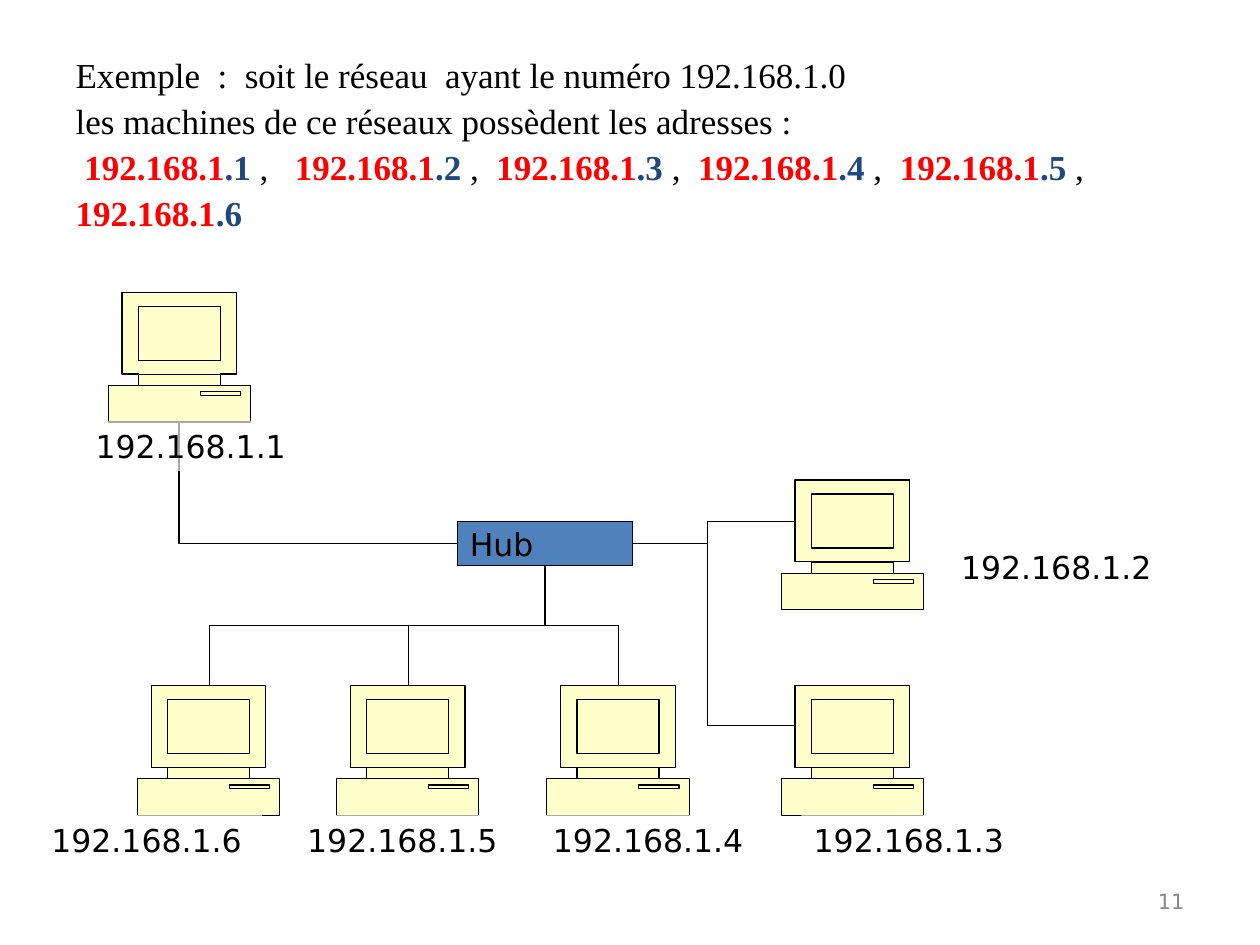
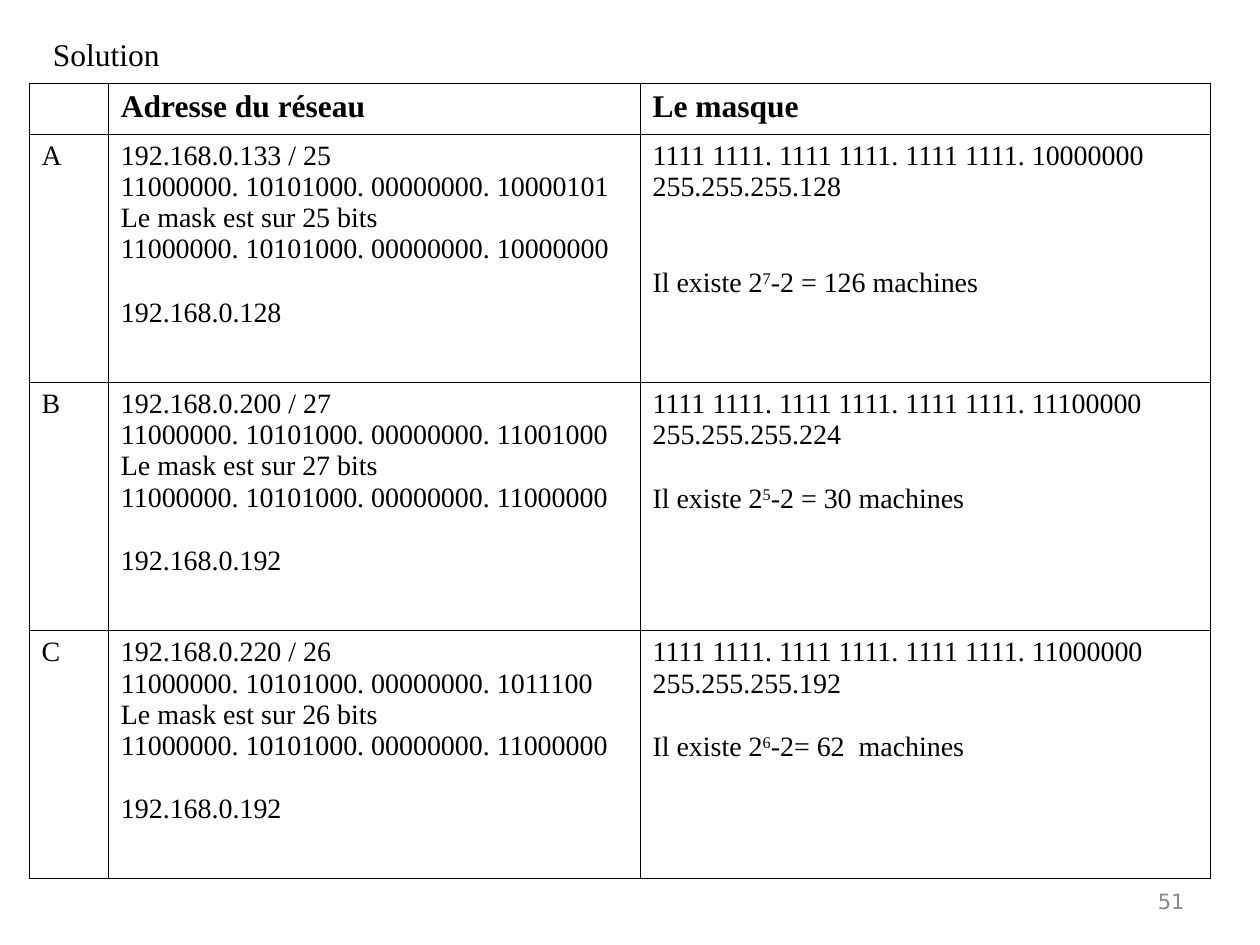
from lxml.etree import SubElement
from pptx import Presentation
from pptx.dml.color import RGBColor as Rgb
from pptx.enum.shapes import MSO_CONNECTOR as Link, MSO_SHAPE as Kind
from pptx.enum.text import MSO_ANCHOR as Anchor, MSO_AUTO_SIZE as Fit, PP_ALIGN as Align
from pptx.oxml.ns import qn
from pptx.util import Inches, Pt

INK = {"black": "000000", "white": "FFFFFF", "red": "FF0000", "navy": "1F497D",
       "cream": "FFFFCC", "blue": "4F81BD", "grey": "898989"}
SERIF, SANS = "Times New Roman", "DejaVu Sans"
WIDE, HIGH = Inches(10), Inches(7.5)
UNIT = WIDE // 10
NET = "192.168.1"
BLANK = 18.6

SHELL = [(11, 0), (102, 0), (102, 65), (89, 65), (89, 74), (113, 74),
         (113, 103), (0, 103), (0, 74), (24, 74), (24, 65), (11, 65)]
PARTS = [(24, 65, 89, 74), (24, 11, 89, 54), (73, 79, 105, 82)]

HOSTS = [(0.86, 2.32), (6.2, 3.81), (6.2, 5.44), (4.34, 5.44), (2.67, 5.44), (1.09, 5.44)]
LABELS = [(0.66, 3.34, 1.91), (7.53, 4.3, 1.77), (6.36, 6.47, 1.77),
          (4.29, 6.47, 1.88), (2.34, 6.47, 1.77), (0.31, 6.47, 1.77)]
HUB = (3.63, 4.14, 1.39, 0.35)

COLS = [0.63, 4.22, 4.53]
ROWS = [0.4, 1.97, 1.97, 1.97]
HEADS = ["", "Adresse du réseau", "Le masque"]
CASES = [
    ("A", "192.168.0.133 / 25", "10000101", "25", "10000000", "192.168.0.128",
     "10000000", "255.255.255.128", "7", "-2 = 126 machines", 2),
    ("B", "192.168.0.200 / 27", "11001000", "27", "11000000", "192.168.0.192",
     "11100000", "255.255.255.224", "5", "-2 = 30 machines", 1),
    ("C", "192.168.0.220 / 26", "1011100", "26", "11000000", "192.168.0.192",
     "11000000", "255.255.255.192", "6", "-2= 62  machines", 1),
]


def grid(*cells):
    """Turn grid positions into lengths."""
    return [round(cell * UNIT) for cell in cells]


def tint(name):
    """Return a named colour."""
    return Rgb.from_string(INK[name])


def write(para, text, size, face=SERIF, ink="black", bold=False):
    """Add one formatted run to a paragraph."""
    run = para.add_run()
    run.text = text
    font = run.font
    font.size, font.name, font.bold = Pt(size), face, bold
    font.color.rgb = tint(ink)
    return run


def paint(shape, fill, edge="black"):
    """Set fill and outline and drop the shadow."""
    shape.shadow.inherit = False
    shape.fill.solid()
    shape.fill.fore_color.rgb = tint(fill)
    if edge:
        shape.line.color.rgb = tint(edge)
        shape.line.width = Pt(0.75)
    else:
        shape.line.fill.background()


def start(deck, box, anchor):
    """Add a title-only slide and return it with its title paragraph."""
    slide = deck.slides.add_slide(deck.slide_layouts[5])
    title = slide.shapes.title
    title.left, title.top, title.width, title.height = grid(*box)
    frame = title.text_frame
    frame.word_wrap, frame.auto_size = True, Fit.NONE
    frame.vertical_anchor = anchor
    para = frame.paragraphs[0]
    para.alignment = Align.LEFT
    return slide, para


def number(slide, text):
    """Add the page number at the lower right."""
    frame = slide.shapes.add_textbox(*grid(7.17, 6.95, 2.33, 0.4)).text_frame
    frame.word_wrap, frame.vertical_anchor = True, Anchor.MIDDLE
    para = frame.paragraphs[0]
    para.alignment = Align.RIGHT
    write(para, text, 12, SANS, "grey")


def panel(slide, box, text, fill, edge=None, anchor=Anchor.TOP):
    """Add a rectangle with left-aligned text."""
    shape = slide.shapes.add_shape(Kind.RECTANGLE, *grid(*box))
    paint(shape, fill, edge)
    frame = shape.text_frame
    frame.word_wrap, frame.vertical_anchor = True, anchor
    para = frame.paragraphs[0]
    para.alignment = Align.LEFT
    write(para, text, 18, SANS)
    return shape


def label(slide, spot, text):
    """Add an address on a translucent white panel."""
    shape = panel(slide, (*spot, 0.4), text, "white")
    ink = shape.element.spPr.find(qn("a:solidFill"))[0]
    SubElement(ink, qn("a:alpha")).set("val", "66000")


def host(slide, spot):
    """Draw a desktop computer as a group."""
    shapes = slide.shapes.add_group_shape().shapes
    left, top = grid(*spot)
    shell = shapes.build_freeform(*SHELL[0], scale=UNIT / 100)
    shell.add_line_segments(SHELL[1:])
    parts = None
    for x1, y1, x2, y2 in PARTS:
        if parts:
            parts.move_to(x1, y1)
        else:
            parts = shapes.build_freeform(x1, y1, scale=UNIT / 100)
        parts.add_line_segments([(x2, y1), (x2, y2), (x1, y2)])
    for form in (shell, parts):
        paint(form.convert_to_shape(left, top), "cream")


def elbow(slide, tail, head, turn, flips="", bend=None):
    """Draw a bent connector; without a bend ratio it has one corner."""
    (x1, y1), (x2, y2) = tail, head
    wide, high = abs(x2 - x1), abs(y2 - y1)
    if turn in (90, 270):
        wide, high = high, wide
    left, top = (x1 + x2 - wide) / 2, (y1 + y2 - high) / 2
    line = slide.shapes.add_connector(Link.ELBOW, *grid(left, top, left + wide, top + high))
    line.line.color.rgb = tint("black")
    line.line.width = Pt(0.75)
    props = line.element.spPr
    SubElement(props, qn("a:effectLst"))
    frame = props.find(qn("a:xfrm"))
    frame.set("rot", str(turn * 60000))
    for flip in flips:
        frame.set("flip" + flip, "1")
    shape = props.find(qn("a:prstGeom"))
    if bend is None:
        shape.set("prst", "bentConnector2")
    else:
        guide = SubElement(shape.find(qn("a:avLst")), qn("a:gd"))
        guide.set("name", "adj1")
        guide.set("fmla", f"val {round(bend * 100000)}")


def wires(slide):
    """Join every computer to the hub."""
    left, top, wide, high = HUB
    mid, axis = left + wide / 2, top + high / 2
    elbow(slide, (1.42, 3.35), (left, axis), 270, "H")
    for x, y in HOSTS[3:]:
        x += 0.57
        turn, flips = (90, "HV") if x < mid else (270, "V")
        elbow(slide, (x, y), (mid, top + high), turn, flips, 0.5)
    for y, flips in ((5.76, ""), (4.14, "V")):
        elbow(slide, (6.31, y), (left + wide, axis), 180, flips, 0.54)


def network(deck):
    """Build the slide with the example network."""
    slide, para = start(deck, (0.5, 0.3, 9, 1.65), Anchor.MIDDLE)
    para.line_spacing = 1.09
    for text in ("Exemple  :  soit le réseau  ayant le numéro 192.168.1.0",
                 "les machines de ce réseaux possèdent les adresses :"):
        write(para, text, 20)
        para.add_line_break()
    gaps = [" ", " ,   "] + [" ,  "] * 4
    for rank, gap in enumerate(gaps, 1):
        write(para, gap, 20)
        write(para, NET, 20, ink="red", bold=True)
        write(para, f".{rank}", 20, ink="navy", bold=True)
    for spot in HOSTS:
        host(slide, spot)
    panel(slide, HUB, "Hub", "blue", "black", Anchor.MIDDLE)
    wires(slide)
    for rank, spot in enumerate(LABELS, 1):
        label(slide, spot, f"{NET}.{rank}")
    number(slide, "11")


def frame(cell):
    """Give a cell thin black borders and a white fill."""
    props = cell._tc.get_or_add_tcPr()
    for side in ("lnL", "lnR", "lnT", "lnB"):
        edge = SubElement(props, qn(f"a:{side}"), w=str(Pt(0.45)))
        fill = SubElement(edge, qn("a:solidFill"))
        SubElement(fill, qn("a:srgbClr"), val=INK["black"])
    cell.fill.solid()
    cell.fill.fore_color.rgb = tint("white")


def lines(cell, texts, gap=0, size=16, bold=False):
    """Write paragraphs in a cell, the last one set off by a gap."""
    body = cell.text_frame
    for rank, text in enumerate(texts):
        para = body.add_paragraph() if rank else body.paragraphs[0]
        if text:
            write(para, text, size, bold=bold)
    if gap:
        para.space_before = Pt(gap * BLANK)
    return para


def solution(deck):
    """Build the slide with the table of masks."""
    slide, para = start(deck, (0.32, 0.23, 3, 0.4), Anchor.TOP)
    write(para, "Solution", 18)
    box = grid(0.23, 0.66, sum(COLS), sum(ROWS))
    table = slide.shapes.add_table(len(ROWS), len(COLS), *box).table
    for col, wide in zip(table.columns, grid(*COLS)):
        col.width = wide
    for row, high in zip(table.rows, grid(*ROWS)):
        row.height = high
    for cell in table.iter_cells():
        frame(cell)
    for col, head in enumerate(HEADS):
        lines(table.cell(0, col), [head], size=18, bold=True)
    for row, case in enumerate(CASES, 1):
        name, host_ip, bits, size, net_bits, net, mask_bits, mask, power, count, gap = case
        lead = "11000000. 10101000. 00000000. "
        lines(table.cell(row, 0), [name])
        lines(table.cell(row, 1), [host_ip, lead + bits, f"Le mask est sur {size} bits",
                                   lead + net_bits, net], 1)
        last = lines(table.cell(row, 2), ["1111 1111. " * 3 + mask_bits, mask,
                                          "Il existe 2"], gap)
        raised = write(last, power, 16)
        raised._r.get_or_add_rPr().set("baseline", "30000")
        write(last, count, 16)
    number(slide, "51")


def main():
    """Build and save the deck."""
    deck = Presentation()
    deck.slide_width, deck.slide_height = WIDE, HIGH
    network(deck)
    solution(deck)
    deck.save("out.pptx")


if __name__ == "__main__":
    main()
